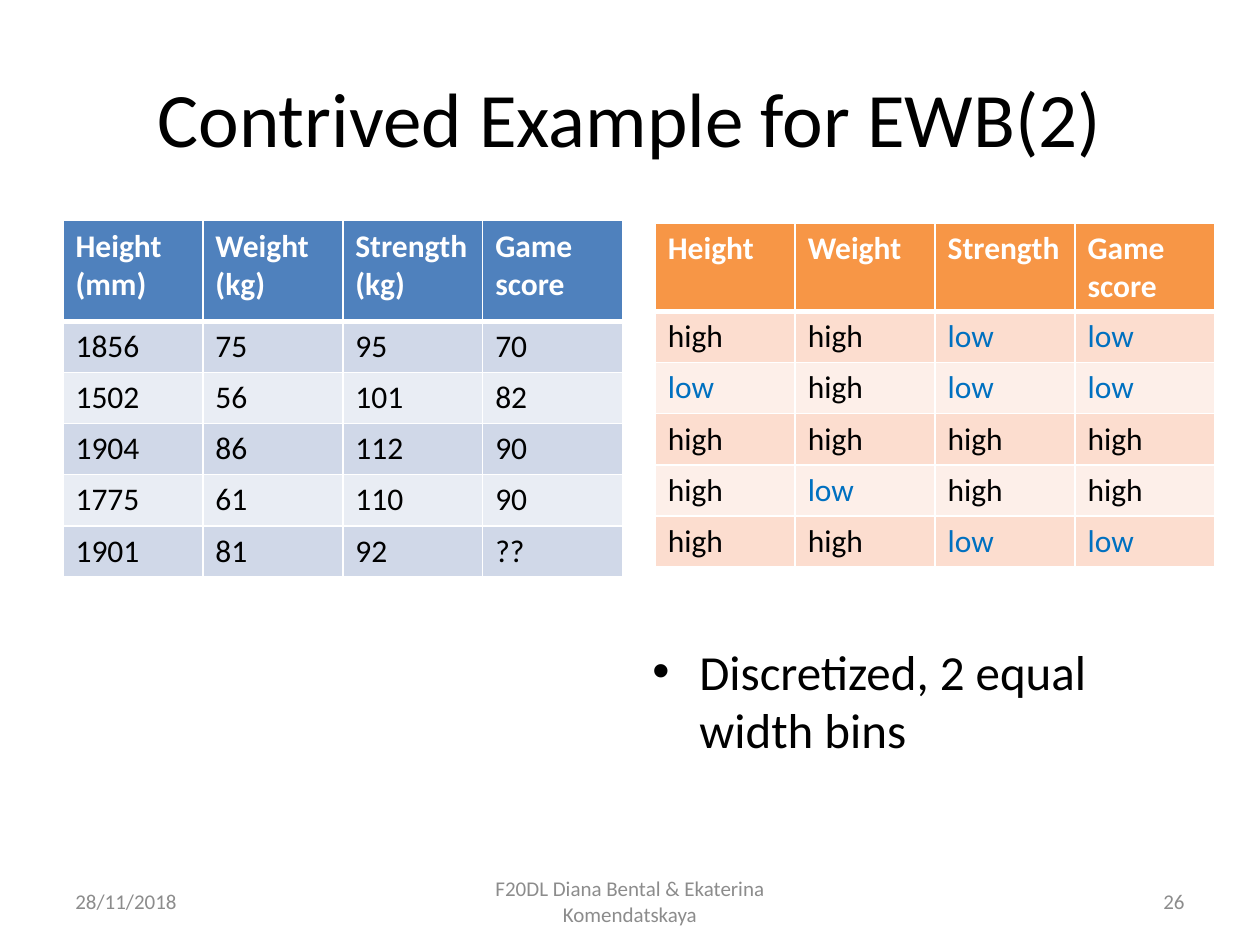
from lxml import etree
from pptx import Presentation
from pptx import util as u
from pptx.dml.color import RGBColor
from pptx.enum import text
from pptx.oxml import ns

BLACK = RGBColor(0x00, 0x00, 0x00)
WHITE = RGBColor(0xFF, 0xFF, 0xFF)
GREY = RGBColor(0x8C, 0x8C, 0x8C)
LOW_BLUE = RGBColor(0x00, 0x70, 0xC0)
BLUE_STYLE = (RGBColor(0x4F, 0x81, 0xBD), RGBColor(0xD0, 0xD8, 0xE8), RGBColor(0xE9, 0xED, 0xF4))
ORANGE_STYLE = (RGBColor(0xF7, 0x96, 0x46), RGBColor(0xFC, 0xDD, 0xCF), RGBColor(0xFD, 0xEF, 0xE9))
LEFT, CENTER, RIGHT = text.PP_ALIGN.LEFT, text.PP_ALIGN.CENTER, text.PP_ALIGN.RIGHT
TOP, MIDDLE = text.MSO_ANCHOR.TOP, text.MSO_ANCHOR.MIDDLE

# Content
TITLE = "Contrived Example for EWB(2)"
BULLET = "Discretized, 2 equal width bins"
FOOTERS = [  # text, left, width, alignment
    ("28/11/2018", 1.27, 5.93, LEFT),
    ("F20DL Diana Bental & Ekaterina Komendatskaya", 8.68, 8.04, CENTER),
    ("26", 18.2, 5.93, RIGHT),
]
MEASURED = [
    ["Height (mm)", "Weight (kg)", "Strength\n(kg)", "Game score"],
    ["1856", "75", "95", "70"],
    ["1502", "56", "101", "82"],
    ["1904", "86", "112", "90"],
    ["1775", "61", "110", "90"],
    ["1901", "81", "92", "??"],
]
DISCRETIZED = [
    ["Height", "Weight", "Strength", "Game\nscore"],
    ["high", "high", "low", "low"],
    ["low", "high", "low", "low"],
    ["high", "high", "high", "high"],
    ["high", "low", "high", "high"],
    ["high", "high", "low", "low"],
]
COLUMN_WIDTH, ROW_HEIGHT = 2.82, 1.03


def write(frame, content, size=18, color=BLACK, bold=False, align=LEFT, bullet=False):
    frame.word_wrap = True
    for index, line in enumerate(content.split("\n")):
        paragraph = frame.paragraphs[0] if index == 0 else frame.add_paragraph()
        paragraph.alignment = align
        if bullet:
            properties = paragraph._p.get_or_add_pPr()
            properties.set("marL", str(u.Cm(0.95)))
            properties.set("indent", str(-u.Cm(0.95)))
            etree.SubElement(properties, ns.qn("a:buFont"), typeface="Arial")
            etree.SubElement(properties, ns.qn("a:buChar"), char="•")
        run = paragraph.add_run()
        run.text = line
        run.font.name = "Calibri"
        run.font.size = u.Pt(size)
        run.font.bold = bold
        run.font.color.rgb = color


def add_text(slide, content, left, top, width, height, anchor=MIDDLE, **style):
    box = slide.shapes.add_textbox(u.Cm(left), u.Cm(top), u.Cm(width), u.Cm(height))
    box.text_frame.vertical_anchor = anchor
    write(box.text_frame, content, **style)


def set_borders(cell, **points):
    properties = cell._tc.get_or_add_tcPr()
    for side, width in points.items():
        line = etree.SubElement(properties, ns.qn(f"a:ln{side}"), w=str(u.Pt(width)))
        fill = etree.SubElement(line, ns.qn("a:solidFill"))
        etree.SubElement(fill, ns.qn("a:srgbClr"), val=str(WHITE))


def add_data_table(slide, rows, left, top, header_height, style):
    header_fill, odd_fill, even_fill = style
    heights = [header_height] + [ROW_HEIGHT] * (len(rows) - 1)
    columns = len(rows[0])
    table = slide.shapes.add_table(
        len(rows), columns, u.Cm(left), u.Cm(top),
        u.Cm(COLUMN_WIDTH * columns), u.Cm(sum(heights))).table
    for column in table.columns:
        column.width = u.Cm(COLUMN_WIDTH)
    for r, values in enumerate(rows):
        table.rows[r].height = u.Cm(heights[r])
        header = r == 0
        for c, value in enumerate(values):
            cell = table.cell(r, c)
            # The line below the header is thicker
            set_borders(cell, L=1, R=1, T=3 if r == 1 else 1, B=3 if header else 1)
            cell.fill.solid()
            cell.fill.fore_color.rgb = header_fill if header else odd_fill if r % 2 else even_fill
            color = WHITE if header else LOW_BLUE if value == "low" else BLACK
            write(cell.text_frame, value, color=color, bold=header)


presentation = Presentation()
presentation.slide_width, presentation.slide_height = u.Cm(25.4), u.Cm(19.05)
slide = presentation.slides.add_slide(presentation.slide_layouts[6])

# Title and bullet
add_text(slide, TITLE, 1.27, 0.76, 22.86, 3.18, size=44, align=CENTER)
add_text(slide, BULLET, 12.9, 12.8, 11.23, 4.2, anchor=TOP, size=28, bullet=True)

# Footer
for content, left, width, align in FOOTERS:
    add_text(slide, content, left, 17.66, width, 1.01, size=12, color=GREY, align=align)

# Tables
add_data_table(slide, MEASURED, 1.27, 4.45, 2.03, BLUE_STYLE)
add_data_table(slide, DISCRETIZED, 13.21, 4.5, 1.78, ORANGE_STYLE)

presentation.save("out.pptx")
